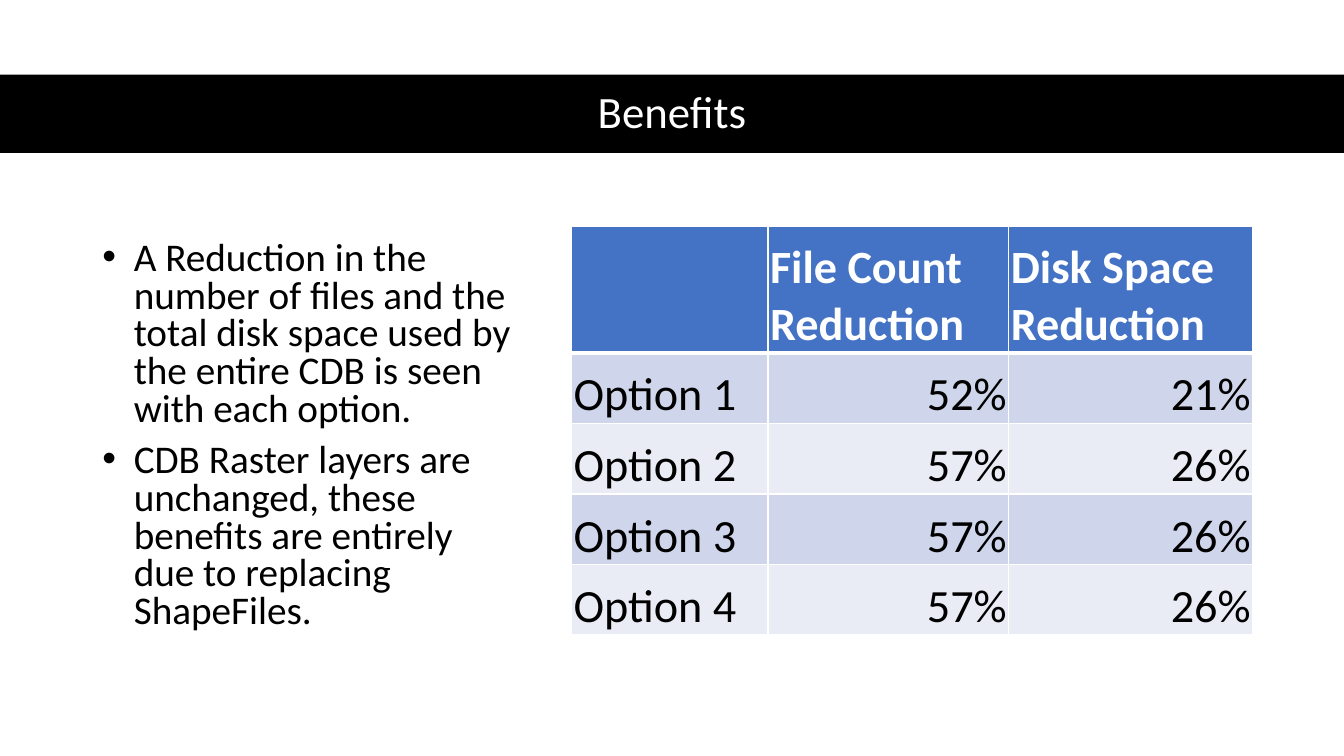
from pptx import Presentation
from pptx.dml.color import RGBColor
from pptx.enum.text import MSO_ANCHOR as Anchor, PP_ALIGN as Align
from pptx.oxml import parse_xml
from pptx.oxml.ns import nsdecls
from pptx.util import Pt

BLACK = RGBColor(0x00, 0x00, 0x00)
WHITE = RGBColor(0xFF, 0xFF, 0xFF)
BLUE = RGBColor(0x44, 0x72, 0xC4)
BANDS = [RGBColor(0xCF, 0xD5, 0xEA), RGBColor(0xE9, 0xEB, 0xF5)]
FONT = "Calibri"

POINTS = [
    "A Reduction in the number of files and the total disk space used by "
    "the entire CDB is seen with each option.",
    "CDB Raster layers are unchanged, these benefits are entirely due to "
    "replacing ShapeFiles.",
]
ROWS = [
    ["", "File Count Reduction", "Disk Space Reduction"],
    ["Option 1", "52%", "21%"],
    ["Option 2", "57%", "26%"],
    ["Option 3", "57%", "26%"],
    ["Option 4", "57%", "26%"],
]
WIDTHS = [140.4, 172, 174.2]
HEAD_HIGH, ROW_HIGH = 90, 50.4


def style(para, size, color, bold=False):
    for run in para.runs:
        font = run.font
        font.name, font.size, font.bold = FONT, Pt(size), bold
        font.color.rgb = color


def place(shape, left, top, width, height):
    shape.left, shape.top = Pt(left), Pt(top)
    shape.width, shape.height = Pt(width), Pt(height)


def add_title(slide, text):
    title = slide.shapes.title
    place(title, 0, 53.3, 960, 56)
    title.fill.solid()
    title.fill.fore_color.rgb = BLACK
    frame = title.text_frame
    frame.text = text
    frame.vertical_anchor = Anchor.MIDDLE
    para = frame.paragraphs[0]
    para.alignment = Align.CENTER
    para.line_spacing = 0.9
    style(para, 32, WHITE)


def add_bullets(slide, points):
    box = slide.shapes.add_textbox(Pt(66), Pt(162), Pt(310), Pt(300))
    frame = box.text_frame
    frame.word_wrap = True
    frame.margin_right = Pt(4)
    frame.vertical_anchor = Anchor.MIDDLE
    frame.text = "\n".join(points)
    for para in frame.paragraphs:
        para.line_spacing = 0.8
        para.space_before = Pt(10)
        style(para, 28, BLACK)
        # Hanging bullet
        props = para._p.get_or_add_pPr()
        props.set("marL", str(Pt(22.5)))
        props.set("indent", str(-Pt(22.5)))
        props.append(parse_xml(f'<a:buFont {nsdecls("a")} typeface="Arial"/>'))
        props.append(parse_xml(f'<a:buChar {nsdecls("a")} char="•"/>'))


def add_edge(cell, side, width):
    cell._tc.get_or_add_tcPr().append(parse_xml(
        f'<a:ln{side} {nsdecls("a")} w="{Pt(width)}"><a:solidFill>'
        f'<a:srgbClr val="{WHITE}"/></a:solidFill></a:ln{side}>'))


def fill_cell(cell, text, row, col):
    head = row == 0
    # Borders, thicker below the header
    for side in "LRTB":
        thick = (row, side) in [(0, "B"), (1, "T")]
        add_edge(cell, side, 3 if thick else 1)
    cell.fill.solid()
    cell.fill.fore_color.rgb = BLUE if head else BANDS[(row - 1) % 2]
    # Text
    cell.margin_left = cell.margin_right = Pt(1.5)
    cell.margin_top, cell.margin_bottom = Pt(2), 0
    cell.vertical_anchor = Anchor.BOTTOM
    cell.text_frame.text = text
    para = cell.text_frame.paragraphs[0]
    para.alignment = Align.LEFT if head or col == 0 else Align.RIGHT
    style(para, 33, WHITE if head else BLACK, head)


def add_grid(slide, rows):
    highs = [HEAD_HIGH] + [ROW_HIGH] * (len(rows) - 1)
    table = slide.shapes.add_table(
        len(rows), len(WIDTHS), Pt(408.2), Pt(162),
        Pt(sum(WIDTHS)), Pt(sum(highs))).table
    for column, width in zip(table.columns, WIDTHS):
        column.width = Pt(width)
    for line, high in zip(table.rows, highs):
        line.height = Pt(high)
    for row, texts in enumerate(rows):
        for col, text in enumerate(texts):
            fill_cell(table.cell(row, col), text, row, col)


def main():
    deck = Presentation()
    deck.slide_width, deck.slide_height = Pt(960), Pt(540)
    slide = deck.slides.add_slide(deck.slide_layouts[5])
    add_title(slide, "Benefits")
    add_grid(slide, ROWS)
    add_bullets(slide, POINTS)
    deck.save("out.pptx")


main()
